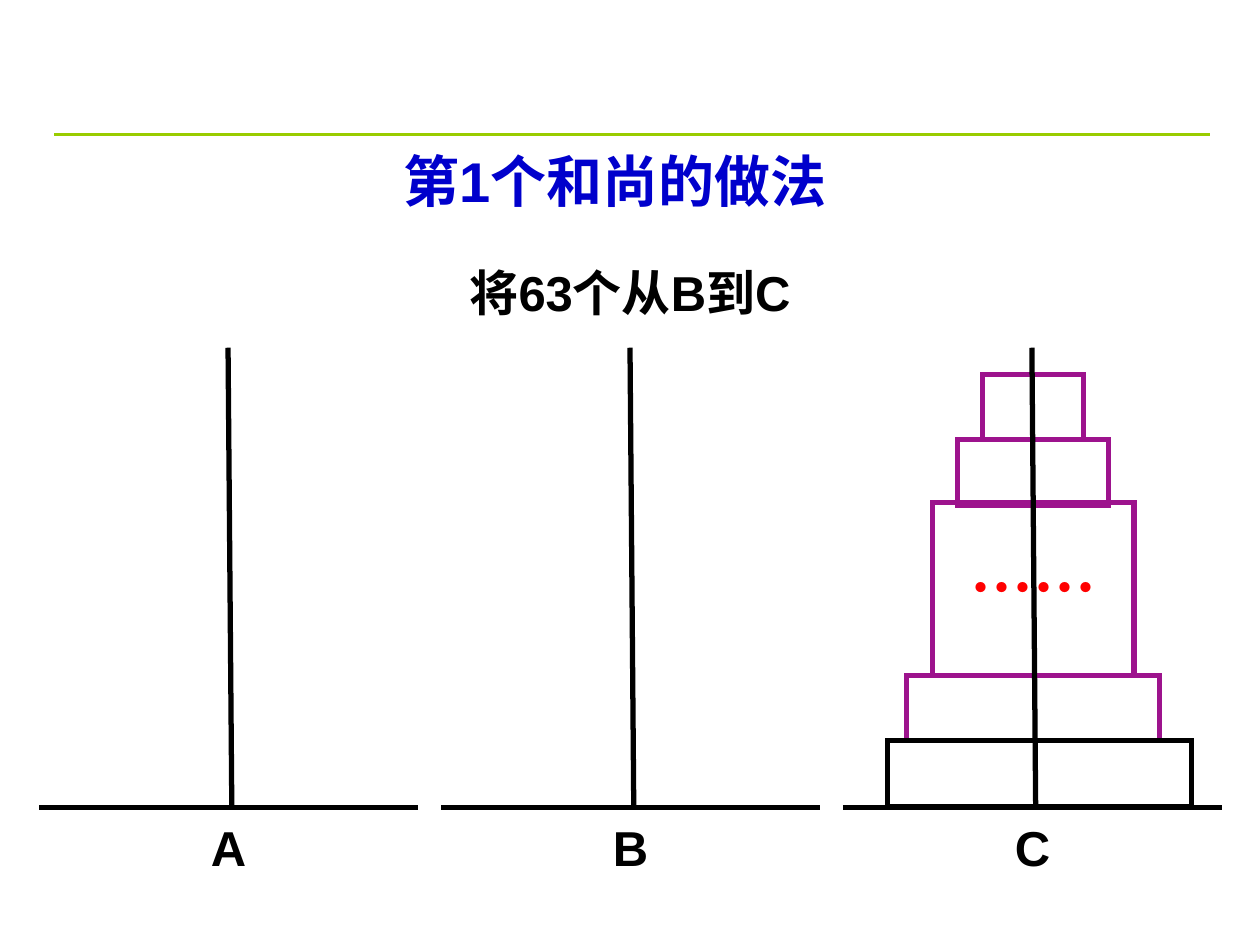
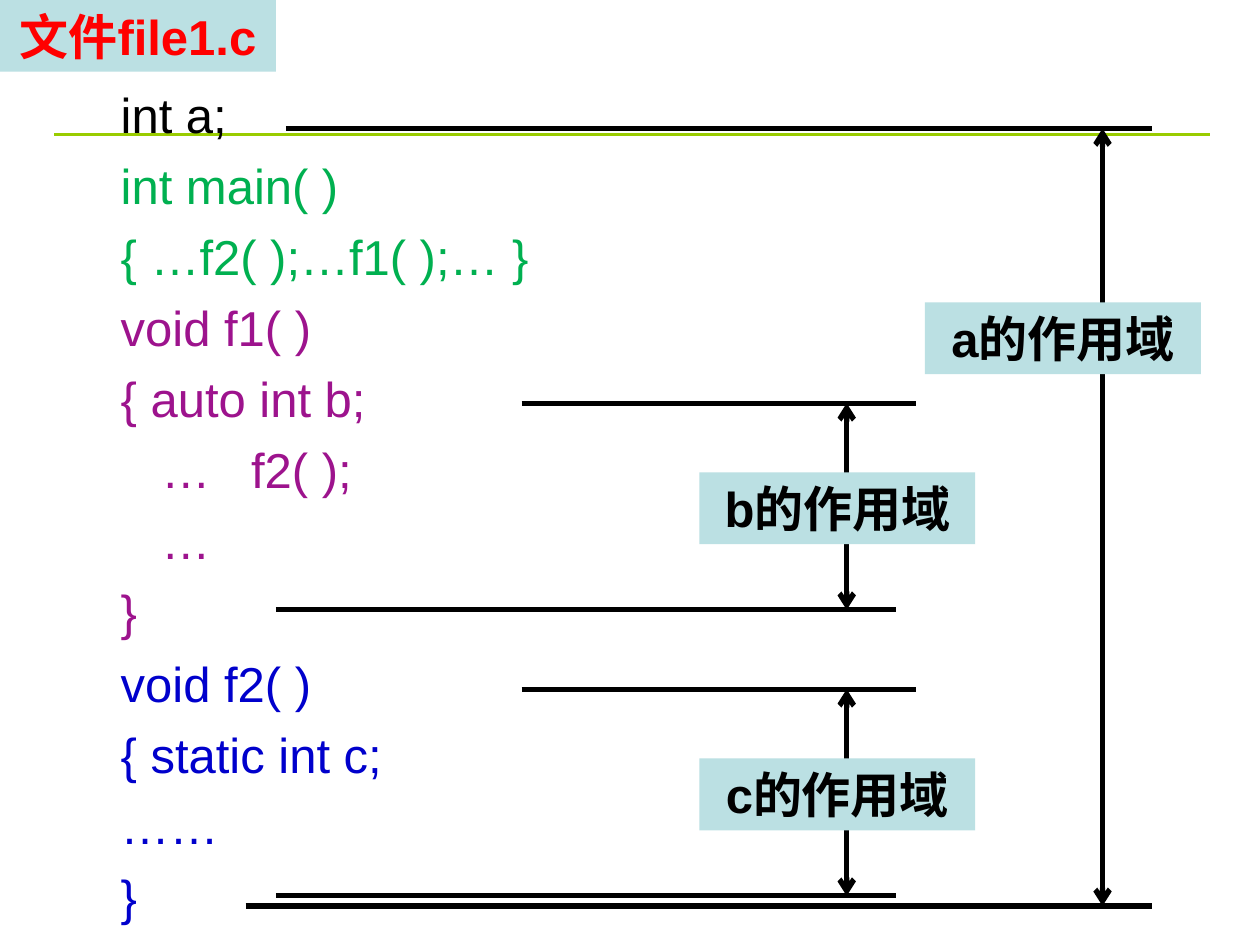
import pptx
import pptx.dml.color
import pptx.enum.shapes
import pptx.enum.text
import pptx.oxml.ns
import pptx.util
from lxml import etree

Inches = pptx.util.Inches
Pt = pptx.util.Pt
SHAPE = pptx.enum.shapes.MSO_SHAPE
ALIGN = pptx.enum.text.PP_ALIGN
ANCHOR = pptx.enum.text.MSO_ANCHOR

BLACK, RED, BLUE = "000000", "FF0000", "0000CC"
PURPLE, GREEN = "9D138D", "00B050"
RULE_GREEN, LABEL_FILL = "99CC00", "BBE0E3"
LATIN, CHINESE = "Arial", "Noto Sans CJK SC"

PEG_STEP = 3.19
DISC_HEIGHT = 0.52
UPPER_DISCS = [(0.8, 3.43), (1.2, 2.91)]
LOWER_DISC = (2.01, 1.04)
CODE = [
    (BLACK, ["int a;"]),
    (GREEN, ["int main( )", "{ …f2( );…f1( );… }"]),
    (PURPLE, ["void f1( )", "{ auto int b;", "   …   f2( );", "   …", "}"]),
    (BLUE, ["void f2( )", "{ static int c;", "……", "}"]),
]


def color(value):
    """Turn a hex string into a colour."""
    return pptx.dml.color.RGBColor.from_string(value)


def child(parent, tag, **attributes):
    """Append a drawing element to a parent element."""
    return etree.SubElement(parent, pptx.oxml.ns.qn(tag), **attributes)


def add_run(paragraph, text, size, hue, bold=True, latin=LATIN, asian=CHINESE):
    """Add one styled run to a paragraph."""
    run = paragraph.add_run()
    run.text = text
    run.font.size = Pt(size)
    run.font.bold = bold
    run.font.color.rgb = color(hue)
    run.font.name = latin
    child(run.font._element, "a:ea", typeface=asian)


def add_line(slide, start, end, hue=BLACK, width=3, arrows=False):
    """Draw a straight line, with an arrowhead at both ends if asked."""
    line = slide.shapes.add_connector(
        pptx.enum.shapes.MSO_CONNECTOR.STRAIGHT,
        *(Inches(value) for value in (*start, *end)))
    line.line.color.rgb = color(hue)
    line.line.width = Pt(width)
    if arrows:
        outline = line.line._get_or_add_ln()
        child(outline, "a:headEnd", type="arrow")
        child(outline, "a:tailEnd", type="arrow")
    child(line._element.spPr, "a:effectLst")


def add_box(slide, kind, box, fill=None, outline=None):
    """Draw a preset shape with an optional fill and outline."""
    shape = slide.shapes.add_shape(kind, *(Inches(value) for value in box))
    shape.shadow.inherit = False
    if fill:
        shape.fill.solid()
        shape.fill.fore_color.rgb = color(fill)
    else:
        shape.fill.background()
    if outline:
        shape.line.color.rgb = color(outline)
        shape.line.width = Pt(3)
        child(shape.line._get_or_add_ln(), "a:miter", lim="800000")
    else:
        shape.line.fill.background()
    return shape


def centre_text(shape, text, size, hue, top=0.05, anchor=ANCHOR.MIDDLE, latin=LATIN):
    """Write one centred line inside a shape."""
    frame = shape.text_frame
    frame.word_wrap = False
    frame.vertical_anchor = anchor
    frame.margin_top, frame.margin_bottom = Inches(top), Inches(0.05)
    paragraph = frame.paragraphs[0]
    paragraph.alignment = ALIGN.CENTER
    add_run(paragraph, text, size, hue, latin=latin)
    return paragraph


def add_heading(slide, box, text, size, hue, top=0.24):
    """Place a centred heading in a text box."""
    heading = slide.shapes.add_textbox(*(Inches(value) for value in box))
    paragraph = centre_text(heading, text, size, hue, top, ANCHOR.TOP)
    paragraph.line_spacing = Pt(24)


def add_label(slide, left, top, text, hue=BLACK):
    """Place a filled label with its text."""
    label = add_box(slide, SHAPE.RECTANGLE, (left, top, 2.19, 0.57), fill=LABEL_FILL)
    centre_text(label, text, 28, hue)


def new_slide(deck):
    """Add a blank slide with the shared green rule."""
    slide = deck.slides.add_slide(deck.slide_layouts[6])
    add_line(slide, (0.43, 1.07), (9.6, 1.07), RULE_GREEN, 1.5)
    return slide


def add_peg(slide, left, ground, name):
    """Draw a peg on its ground line with its name below."""
    add_line(slide, (left, ground), (left + 3.01, ground))
    add_line(slide, (left + 1.53, ground), (left + 1.5, ground - 3.65))
    add_heading(slide, (left + 1.12, ground + 0.16, 0.77, 0.49), name, 28, BLACK, top=0.05)


def add_disc(slide, centre, top, width, height=DISC_HEIGHT, hue=PURPLE):
    """Draw one outlined disc around a centre."""
    return add_box(slide, SHAPE.FLOWCHART_PROCESS,
                   (centre - width / 2, top, width, height), outline=hue)


def add_tower(slide, centre, bottom):
    """Stack the discs around a centre, with dots for those left out."""
    for width, rise in (LOWER_DISC, *UPPER_DISCS):
        add_disc(slide, centre, bottom - rise, width)
    omitted = add_disc(slide, centre, bottom - 2.41, 1.6, 1.37)
    centre_text(omitted, "……", 36, RED, top=0, latin=CHINESE)
    add_disc(slide, centre + 0.05, bottom - DISC_HEIGHT, 2.41, hue=BLACK)


def hanoi_slide(deck):
    """Build the slide on the first monk's method."""
    slide = new_slide(deck)
    add_heading(slide, (2.42, 1.12, 4.92, 0.7), "第1个和尚的做法", 32, BLUE)
    add_heading(slide, (3.36, 1.98, 3.28, 0.7), "将63个从B到C", 28, BLACK)
    add_tower(slide, 8.2, 6.4)
    for index, name in enumerate("ABC"):
        add_peg(slide, 0.31 + index * PEG_STEP, 6.41, name)


def add_code(slide, left, top, width, height):
    """Write the program listing, one paragraph a line."""
    listing = slide.shapes.add_textbox(
        Inches(left), Inches(top), Inches(width), Inches(height))
    frame = listing.text_frame
    frame.word_wrap = True
    paragraph = None
    for hue, lines in CODE:
        for line in lines:
            if paragraph is None:
                paragraph = frame.paragraphs[0]
            else:
                paragraph = frame.add_paragraph()
                paragraph.space_before = Pt(7)
            add_run(paragraph, line, 28, hue, bold=False, asian=LATIN)


def add_scope(slide, variable, first, last, arrow_x, label_left, label_top):
    """Mark a variable's scope between its first and last line."""
    for left, right, y in (first, last):
        add_line(slide, (left, y), (right, y))
    add_line(slide, (arrow_x, first[2]), (arrow_x, last[2]), arrows=True)
    add_label(slide, label_left, label_top, f"{variable}的作用域")


def scope_slide(deck):
    """Build the slide on variable scope in one file."""
    slide = new_slide(deck)
    add_code(slide, 0.86, 0.62, 5.08, 6.72)
    add_scope(slide, "a", (2.27, 9.14, 1.02), (1.95, 9.14, 7.19), 8.75, 7.34, 2.4)
    for variable, top in (("b", 3.2), ("c", 5.47)):
        add_scope(slide, variable, (4.14, 7.27, top), (2.19, 7.11, top + 1.64),
                  6.72, 5.55, top + 0.55)
    add_label(slide, 0, 0, "文件file1.c", RED)


def main():
    """Build and save the deck."""
    deck = pptx.Presentation()
    deck.slide_width, deck.slide_height = Inches(10), Inches(7.5)
    hanoi_slide(deck)
    scope_slide(deck)
    deck.save("out.pptx")


if __name__ == "__main__":
    main()
